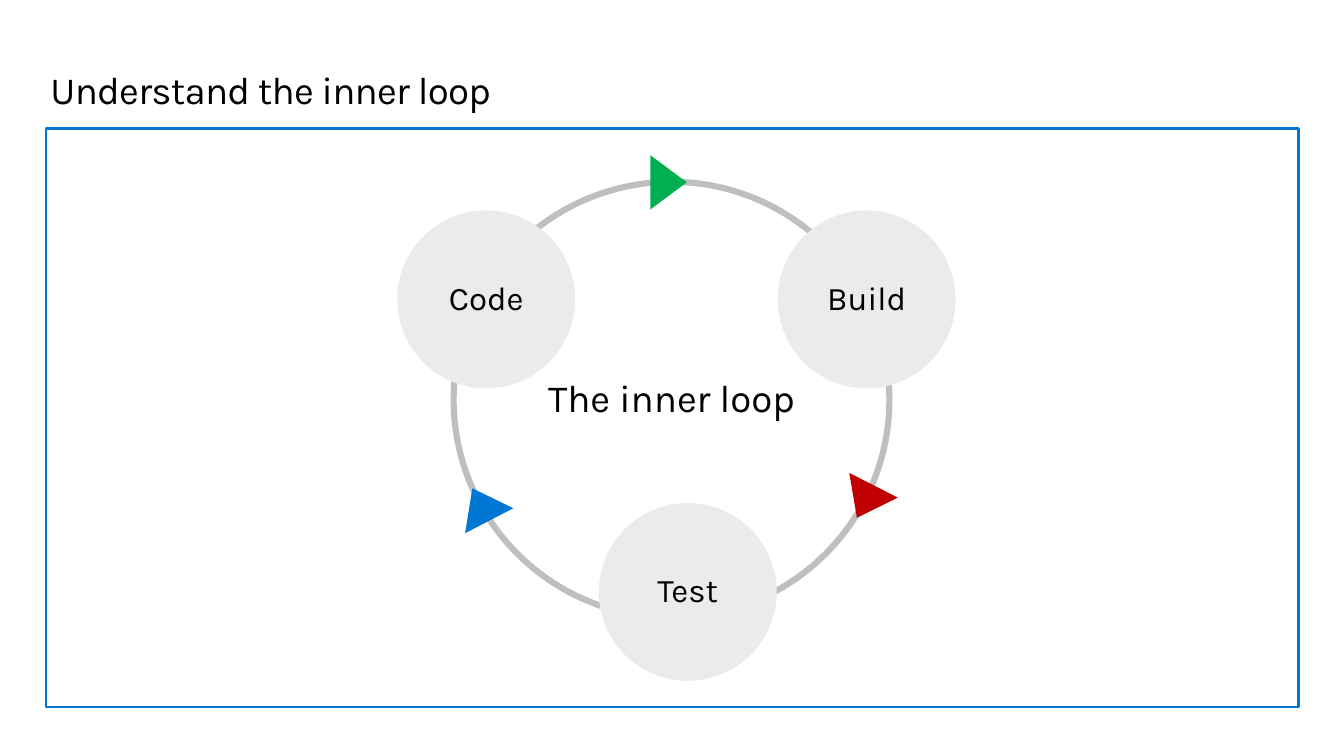
from dataclasses import dataclass

from pptx import Presentation
from pptx.dml.color import RGBColor
from pptx.enum.shapes import MSO_SHAPE
from pptx.enum.text import MSO_ANCHOR, PP_ALIGN
from pptx.shapes.autoshape import Shape
from pptx.slide import Slide
from pptx.util import Emu, Pt

EMU_PER_PX = 9144  # 100 px to the inch


@dataclass(frozen=True)
class Theme:
    font: str = "Karla"
    text: str = "000000"
    blue: str = "0078D3"
    green: str = "00B050"
    red: str = "C00000"
    ring: str = "BFBFBF"
    stage: str = "EBEBEB"
    heading_size: int = 28
    stage_size: int = 24
    frame_width: float = 1.5
    ring_width: float = 4.5


@dataclass(frozen=True)
class Box:
    left: int
    top: int
    width: int
    height: int

    def emu(self) -> list[Emu]:
        return [Emu(n * EMU_PER_PX)
                for n in (self.left, self.top, self.width, self.height)]


@dataclass(frozen=True)
class Stage:
    label: str
    left: int
    top: int


@dataclass(frozen=True)
class Marker:
    left: int
    top: int
    rotation: float
    color: str


THEME = Theme()
SLIDE_WIDTH, SLIDE_HEIGHT = 1360, 765
STAGE_DIAMETER = 180
MARKER_WIDTH, MARKER_HEIGHT = 55, 37

TITLE_BOX = Box(51, 69, 1261, 45)
FRAME_BOX = Box(47, 130, 1267, 585)
RING_BOX = Box(459, 184, 441, 441)

STAGES = [Stage("Code", 402, 213), Stage("Build", 787, 213), Stage("Test", 606, 509)]
MARKERS = [
    Marker(649, 166, 90, THEME.green),
    Marker(848, 489, 207, THEME.red),
    Marker(459, 492, 332.6, THEME.blue),
]


def write_text(shape: Shape, text: str, size: int, line_spacing: float | Pt,
               align: PP_ALIGN, anchor: MSO_ANCHOR,
               inset_x: int = 0, inset_y: int = 0) -> None:
    frame = shape.text_frame
    horizontal, vertical = Emu(inset_x * EMU_PER_PX), Emu(inset_y * EMU_PER_PX)
    frame_format = {
        "word_wrap": True, "vertical_anchor": anchor,
        "margin_left": horizontal, "margin_right": horizontal,
        "margin_top": vertical, "margin_bottom": vertical,
    }
    for name, value in frame_format.items():
        setattr(frame, name, value)
    para = frame.paragraphs[0]
    para.alignment = align
    para.line_spacing = line_spacing
    span = para.add_run()
    span.text = text
    for name, value in {"name": THEME.font, "size": Pt(size)}.items():
        setattr(span.font, name, value)
    span.font.color.rgb = RGBColor.from_string(THEME.text)


def write_centred(shape: Shape, text: str, size: int) -> None:
    write_text(shape, text, size, 0.9, PP_ALIGN.CENTER, MSO_ANCHOR.MIDDLE, 20, 16)


def add_figure(page: Slide, kind: MSO_SHAPE, box: Box, fill: str | None = None,
               line: str | None = None, line_width: float = 1) -> Shape:
    shape = page.shapes.add_shape(kind, *box.emu())
    shape.shadow.inherit = False
    if fill:
        shape.fill.solid()
        shape.fill.fore_color.rgb = RGBColor.from_string(fill)
    else:
        shape.fill.background()
    if line:
        shape.line.color.rgb = RGBColor.from_string(line)
        shape.line.width = Pt(line_width)
    else:
        shape.line.fill.background()
    return shape


def add_title(page: Slide) -> None:
    title = page.shapes.add_textbox(*TITLE_BOX.emu())
    write_text(title, "Understand the inner loop", THEME.heading_size, Pt(32),
               PP_ALIGN.LEFT, MSO_ANCHOR.TOP)
    span = title.text_frame.paragraphs[0].runs[0]
    span._r.get_or_add_rPr().set("spc", "-50")


def add_stage(page: Slide, stage: Stage) -> None:
    box = Box(stage.left, stage.top, STAGE_DIAMETER, STAGE_DIAMETER)
    circle = add_figure(page, MSO_SHAPE.OVAL, box, fill=THEME.stage)
    write_centred(circle, stage.label, THEME.stage_size)


def add_marker(page: Slide, marker: Marker) -> None:
    box = Box(marker.left, marker.top, MARKER_WIDTH, MARKER_HEIGHT)
    triangle = add_figure(page, MSO_SHAPE.ISOSCELES_TRIANGLE, box, fill=marker.color)
    triangle.rotation = marker.rotation


def main() -> None:
    deck = Presentation()
    deck.slide_width = Emu(SLIDE_WIDTH * EMU_PER_PX)
    deck.slide_height = Emu(SLIDE_HEIGHT * EMU_PER_PX)
    page = deck.slides.add_slide(deck.slide_layouts[6])

    # Title and frame
    add_title(page)
    add_figure(page, MSO_SHAPE.RECTANGLE, FRAME_BOX,
               line=THEME.blue, line_width=THEME.frame_width)

    # Ring with its caption
    ring = add_figure(page, MSO_SHAPE.OVAL, RING_BOX,
                      line=THEME.ring, line_width=THEME.ring_width)
    write_centred(ring, "The inner loop", THEME.heading_size)

    # Each stage is followed by the marker that leads on from it
    for stage, marker in zip(STAGES, MARKERS):
        add_stage(page, stage)
        add_marker(page, marker)

    deck.save("out.pptx")


if __name__ == "__main__":
    main()
